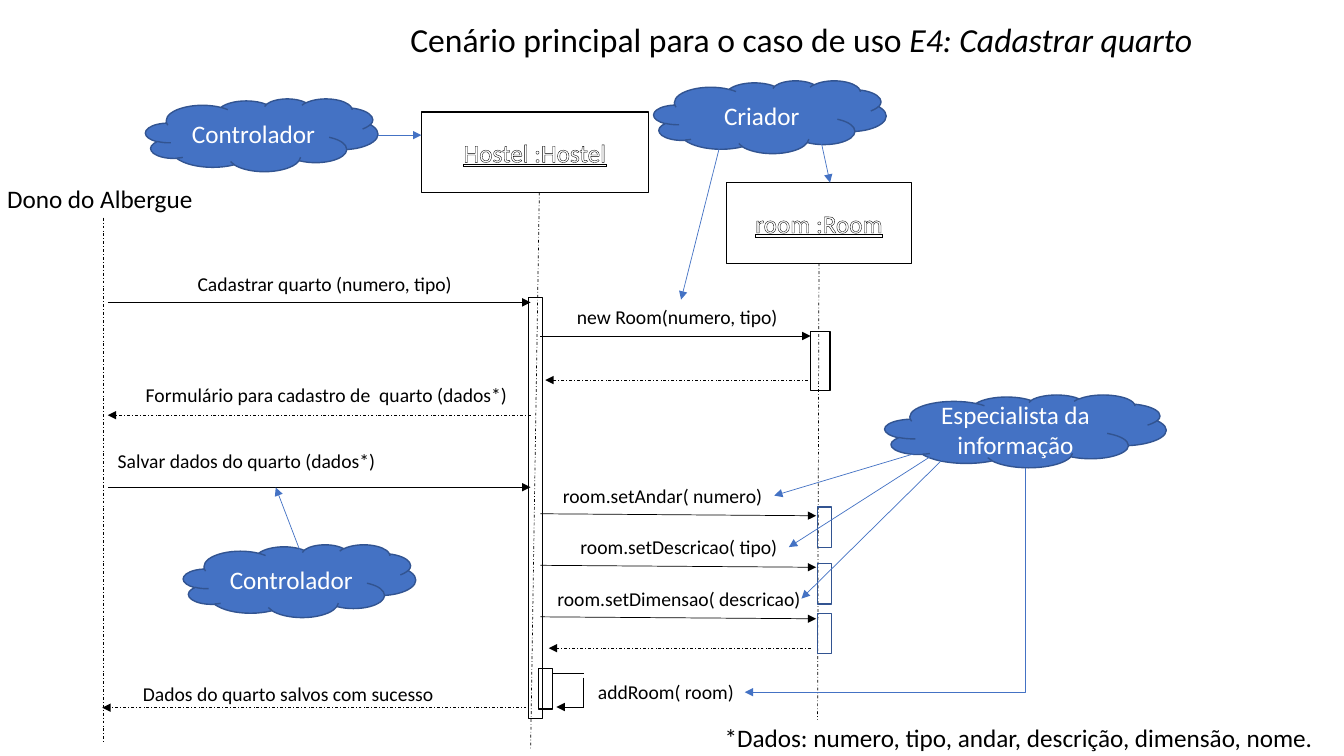
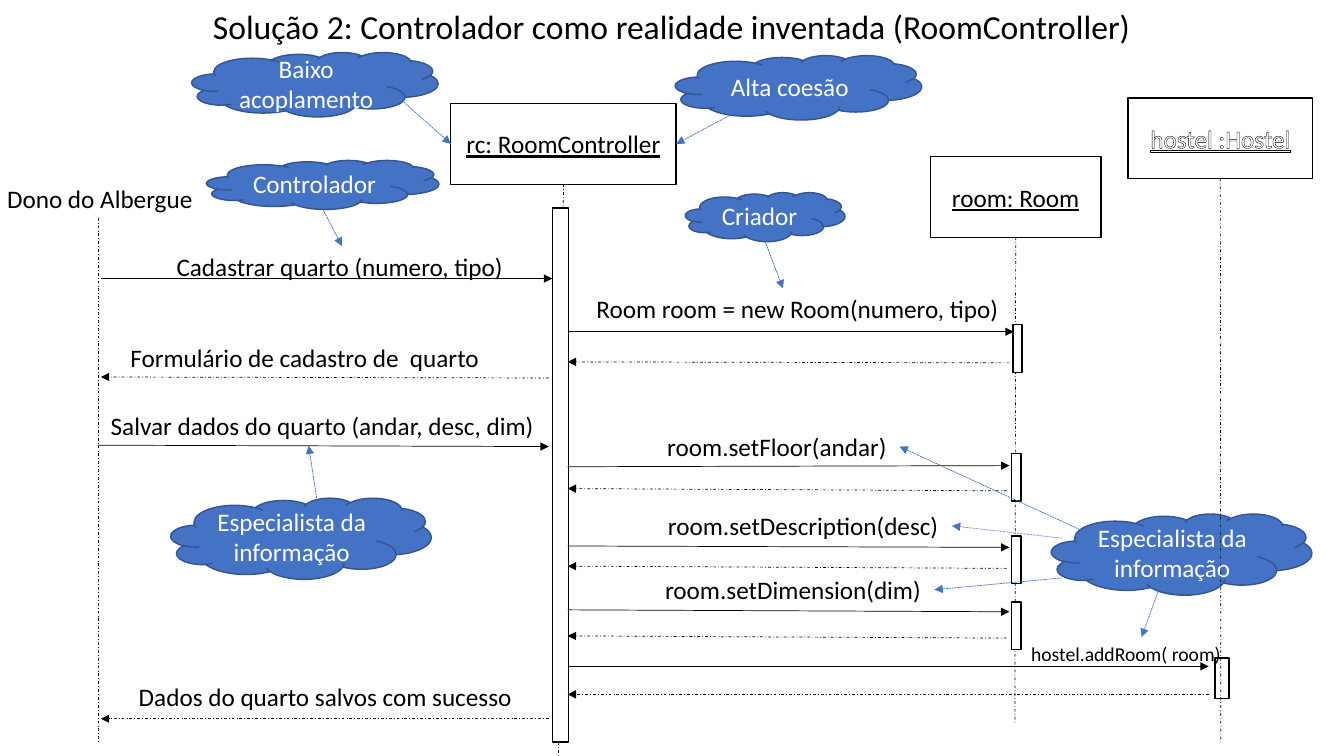
from dataclasses import dataclass

from lxml import etree
from pptx import Presentation
from pptx import util as u
from pptx.dml.color import RGBColor
from pptx.enum import dml, shapes, text
from pptx.oxml.ns import qn

FONT = "Calibri"
SMALL, BODY, TITLE = 14, 18, 24
BLACK, WHITE, BLUE, NAVY = "000000", "FFFFFF", "4472C4", "325491"
DASH, DOT = dml.MSO_LINE.SQUARE_DOT, dml.MSO_LINE.ROUND_DOT
MIXED = dml.MSO_LINE.DASH_DOT
FORM = shapes.MSO_SHAPE
WIRE = shapes.MSO_CONNECTOR
HEAD_H = 57.6
OWNER_TOP, OWNER_LOW = 155.5, 530


@dataclass
class Box:
    """A rectangle in points."""

    x: float
    y: float
    w: float
    h: float

    def at(self, across, down):
        """Return the point at these fractions of the width and height."""
        return self.x + across * self.w, self.y + down * self.h


PAGE = Box(0, 0, 960, 540)


def paint(color, tone):
    """Set a colour format from a hex string."""
    color.rgb = RGBColor.from_string(tone)


def write(frame, words, size, tone):
    """Add one run to the first paragraph of a frame."""
    run = frame.paragraphs[0].add_run()
    run.text = words
    run.font.name, run.font.size = FONT, u.Pt(size)
    paint(run.font.color, tone)
    return run


def outline(run):
    """Underline a run and draw a thin black edge round its letters."""
    run.font.underline = True
    edge = etree.Element(qn("a:ln"), w=str(u.Pt(0.75)))
    fill = etree.SubElement(edge, qn("a:solidFill"))
    etree.SubElement(fill, qn("a:srgbClr"), val=BLACK)
    run._r.find(qn("a:rPr")).insert(0, edge)


class Board:
    """A sequence diagram, measured from the corner of its area."""

    def __init__(self, page, area):
        """Keep the page's shapes and the area."""
        self.shapes, self.area = page.shapes, area

    def spot(self, point):
        """Turn a point of the area into slide lengths."""
        return u.Pt(self.area.x + point[0]), u.Pt(self.area.y + point[1])

    def label(self, x, y, w, words, size, wrap=False):
        """Add a line of text and return its box."""
        box = Box(x, y, w, size * 1.2 + 7.2)
        item = self.shapes.add_textbox(*self.spot((x, y)), u.Pt(w), u.Pt(box.h))
        frame = item.text_frame
        frame.word_wrap = wrap
        frame.auto_size = text.MSO_AUTO_SIZE.SHAPE_TO_FIT_TEXT
        write(frame, words, size, BLACK)
        return box, frame

    def shape(self, form, box, fill, edge):
        """Add a preset shape, hollow when it has no fill."""
        item = self.shapes.add_shape(
            form, *self.spot((box.x, box.y)), u.Pt(box.w), u.Pt(box.h))
        item.shadow.inherit = False
        if fill:
            item.fill.solid()
            paint(item.fill.fore_color, fill)
        else:
            item.fill.background()
        item.line.width = u.Pt(1)
        paint(item.line.color, edge)
        return item

    def caption(self, item, words, tone):
        """Centre a run of text inside a shape."""
        frame = item.text_frame
        frame.word_wrap = True
        frame.vertical_anchor = text.MSO_ANCHOR.MIDDLE
        frame.paragraphs[0].alignment = text.PP_ALIGN.CENTER
        return write(frame, words, BODY, tone)

    def line(self, start, end, tone=BLACK, dash=None, head=True,
             wire=WIRE.STRAIGHT):
        """Join two points, with an arrowhead at the second."""
        item = self.shapes.add_connector(
            wire, *self.spot(start), *self.spot(end))
        item.line.width = u.Pt(0.5)
        paint(item.line.color, tone)
        if dash:
            item.line.dash_style = dash
        props = item._element.spPr
        if head:
            stroke = props.find(qn("a:ln"))
            etree.SubElement(stroke, qn("a:tailEnd"), type="triangle")
        etree.SubElement(props, qn("a:effectLst"))
        return item

    def elbow(self, start, end):
        """Add a blue arrow down and then left, as a turned corner."""
        mid_x, mid_y = (start[0] + end[0]) / 2, (start[1] + end[1]) / 2
        half_w, half_h = (end[1] - start[1]) / 2, (start[0] - end[0]) / 2
        item = self.line((mid_x - half_w, mid_y - half_h),
                         (mid_x + half_w, mid_y + half_h),
                         BLUE, wire=WIRE.ELBOW)
        props = item._element.spPr
        props.find(qn("a:xfrm")).set("rot", "5400000")
        props.find(qn("a:prstGeom")).set("prst", "bentConnector2")

    def call(self, start, end, y, sink=0):
        """Add a message arrow that drops by sink."""
        self.line((start, y), (end, y + sink))

    def reply(self, start, end, y, sink=0):
        """Add a dashed return arrow that drops by sink."""
        self.line((start, y), (end, y + sink), dash=MIXED)

    def bar(self, x, y, w, h, fill=None, edge=BLACK):
        """Add an activation bar."""
        self.shape(FORM.RECTANGLE, Box(x, y, w, h), fill, edge)

    def actor(self, x):
        """Add the actor's name and lifeline."""
        self.label(-2, 127.5, 149, "Dono do Albergue", BODY)
        self.line((x, OWNER_TOP), (x, OWNER_LOW), dash=MIXED, head=False)

    def lane(self, x, y, w, name, foot, tone=WHITE, stem=0.5):
        """Add an object's head and lifeline and return the head's box."""
        box = Box(x, y, w, HEAD_H)
        item = self.shape(FORM.FLOWCHART_PROCESS, box, None, BLACK)
        outline(self.caption(item, name, tone))
        self.line(box.at(stem, 1), foot, dash=MIXED, head=False)
        return box

    def cloud(self, x, y, w, h, words):
        """Add a cloud naming a pattern and return its box."""
        box = Box(x, y, w, h)
        self.caption(self.shape(FORM.CLOUD, box, BLUE, NAVY), words, WHITE)
        return box


def main_flow(page, area):
    """Draw the main scenario, where the hostel is the controller."""
    b = Board(page, area)
    owner, hostel, inside, room = 77, 379, 386, 583
    _, title = b.label(286, 10, 674, "Cenário principal para o caso de uso ",
                       TITLE, wrap=True)
    write(title, "E4: Cadastrar quarto", TITLE, BLACK).font.italic = True
    b.label(510.5, 512.6, 440,
            "*Dados: numero, tipo, andar, descrição, dimensão, nome.", BODY)

    head = b.lane(301, 80, 162, "Hostel :Hostel", (379, 536), stem=0.52)
    room_head = b.lane(519, 130.5, 132, "room :Room", (584, 514))
    b.actor(73.5)
    b.bar(377.5, 212.4, 10, 301)

    b.label(134, 191, 198, "Cadastrar quarto (numero, tipo)", SMALL)
    b.call(owner, hostel, 216)
    b.label(97, 270, 281, "Formulário para cadastro de  quarto (dados*)",
            SMALL, wrap=True)
    b.reply(hostel, owner, 296.6)
    save, _ = b.label(77, 317, 200, "Salvar dados do quarto (dados*)", SMALL)
    b.call(owner, hostel, 348)
    b.label(95, 483.5, 224, "Dados do quarto salvos com sucesso", SMALL)
    b.reply(hostel - 3, owner - 4, 505.5)

    create, _ = b.label(405, 214, 163, "new Room(numero, tipo)", SMALL)
    b.call(inside, 579, 240)
    b.reply(577, 389.5, 271.5)
    b.bar(579, 237, 14, 42)

    expert = b.cloud(632, 282, 201, 52, "Especialista da informação")
    setters = [
        ("room.setAndar( numero)", 395, 158, 362, (0.13, 0.78), 0),
        ("room.setDescricao( tipo)", 407.5, 156, 402.5, (0.19, 0.78), 0),
        ("room.setDimensao( descricao)", 391, 190, 438, (0.21, 0.87), 8.5),
    ]
    for i, (words, x, w, bar_y, edge, inset) in enumerate(setters):
        y = 367 + 36.8 * i
        label, _ = b.label(x, y - 25, w, words, SMALL)
        b.call(inside, room, y, sink=1.4)
        b.bar(room + 0.8, bar_y, 10, 29, edge=NAVY)
        tip_x, tip_y = label.at(1, 0.5)
        b.line(expert.at(*edge), (tip_x - inset, tip_y), BLUE)
    b.reply(579, 392, 463)

    add, _ = b.label(420, 482.4, 112, "addRoom( room)", SMALL)
    b.bar(384.5, 477.4, 10, 29)
    b.line((394.5, 481), (417, 481), head=False)
    b.line((417, 484), (417, 505.5), head=False)
    b.call(417, 397.5, 505)
    b.elbow(expert.at(0.5, 1), add.at(1, 0.5))

    control = b.cloud(104, 70.5, 166, 52, "Controlador")
    b.line(control.at(1, 0.5), (head.x, control.at(1, 0.5)[1]), BLUE)
    maker = b.cloud(467, 57.6, 166, 52, "Criador")
    b.line(maker.at(0.71, 0.69), room_head.at(0.56, 0), BLUE)
    b.line(maker.at(0.31, 0.57), create.at(0.5, 0), BLUE)
    control = b.cloud(131, 389, 166, 52, "Controlador")
    b.line(control.at(0.5, 0.07), save.at(0.6, 1.3), BLUE)


def second_flow(page, area):
    """Draw the solution with an invented controller."""
    b = Board(page, area)
    owner, control, inside, room, hostel = 72, 392, 405.5, 721, 863.3
    b.label(145, 1, 675, "Solução 2: Controlador como realidade inventada "
            "(RoomController)", TITLE)
    head = b.lane(322, 74, 161, "rc: RoomController", (399, 540), BLACK)
    b.lane(664.5, 112, 122, "room: Room", (725, 517), BLACK)
    b.actor(70)
    b.bar(394.5, 148.5, 11.5, 381.5, WHITE)

    enrol, _ = b.label(119, 175.7, 250.5, "Cadastrar quarto (numero, tipo)",
                       BODY)
    b.call(owner, 394.5, 199)
    b.label(86, 241, 266, "Formulário de cadastro de  quarto", BODY)
    b.reply(control, owner, 270, sink=-0.7)
    save, _ = b.label(72, 289.5, 330,
                      "Salvar dados do quarto (andar, desc, dim)", BODY)
    b.call(owner - 2, control, 318, sink=1)
    b.label(92, 483, 284, "Dados do quarto salvos com sucesso", BODY)
    b.reply(control, owner, 513.4)

    create, _ = b.label(419, 206, 305, "Room room = new Room(numero, tipo)",
                        BODY)
    b.call(inside, 724, 237)
    b.bar(723.6, 232, 6.5, 34, WHITE)
    b.reply(room, inside, 259.2, sink=-0.7)

    expert = b.cloud(751, 367, 186, 58, "Especialista da informação")
    setters = [
        ("room.setFloor(andar)", 469.5, 173, 333.4, -0.8,
         324, 350.6, (0.12, 0.21), DASH),
        ("room.setDescription(desc)", 470, 210, 390, 1,
         383, 406, (0.04, 0.3), DOT),
        ("room.setDimension(dim)", 468, 199.5, 435.6, 1.4,
         430, 455.8, (0.04, 0.79), DASH),
    ]
    for words, x, w, y, sink, bar_y, back_y, edge, dash in setters:
        label, _ = b.label(x, y - 28.8, w, words, BODY)
        b.call(inside, room, y, sink)
        b.reply(room - 2, inside, back_y, sink=-1.6)
        b.bar(room + 1.7, bar_y, 6.5, 34, WHITE)
        b.line(expert.at(*edge), label.at(1, 0.5), BLUE, dash)

    b.lane(805.7, 70, 132, "hostel :Hostel", (872, 531.4))
    add, _ = b.label(729.4, 455, 151, "hostel.addRoom( room)", SMALL)
    b.call(inside, hostel, 476)
    b.reply(hostel, inside, 496)
    b.bar(868, 470, 10, 29)
    b.line(expert.at(0.41, 0.96), add.at(0.57, 0), BLUE, DASH)

    notes = [
        ((137, 37.4, 176, 46), "Baixo acoplamento",
         (0.86, 0.77), head.at(0, 0.5)),
        ((482.4, 39.6, 176, 46), "Alta coesão",
         (0.27, 0.83), head.at(1, 0.5)),
        ((147.6, 114.5, 166, 35), "Controlador",
         (0.5, 1), enrol.at(0.5, 0)),
        ((489.6, 137.5, 114, 35), "Criador",
         (0.5, 1), create.at(0.46, 0)),
        ((122, 355.7, 186, 58), "Especialista da informação",
         (0.56, 0), save.at(0.45, 1)),
    ]
    for place, words, edge, tip in notes:
        b.line(b.cloud(*place, words).at(*edge), tip, BLUE, DASH)


def main():
    """Build and save the deck."""
    deck = Presentation()
    deck.slide_width, deck.slide_height = u.Pt(PAGE.w), u.Pt(PAGE.h)
    for draw in (main_flow, second_flow):
        draw(deck.slides.add_slide(deck.slide_layouts[6]), PAGE)
    deck.save("out.pptx")


if __name__ == "__main__":
    main()
